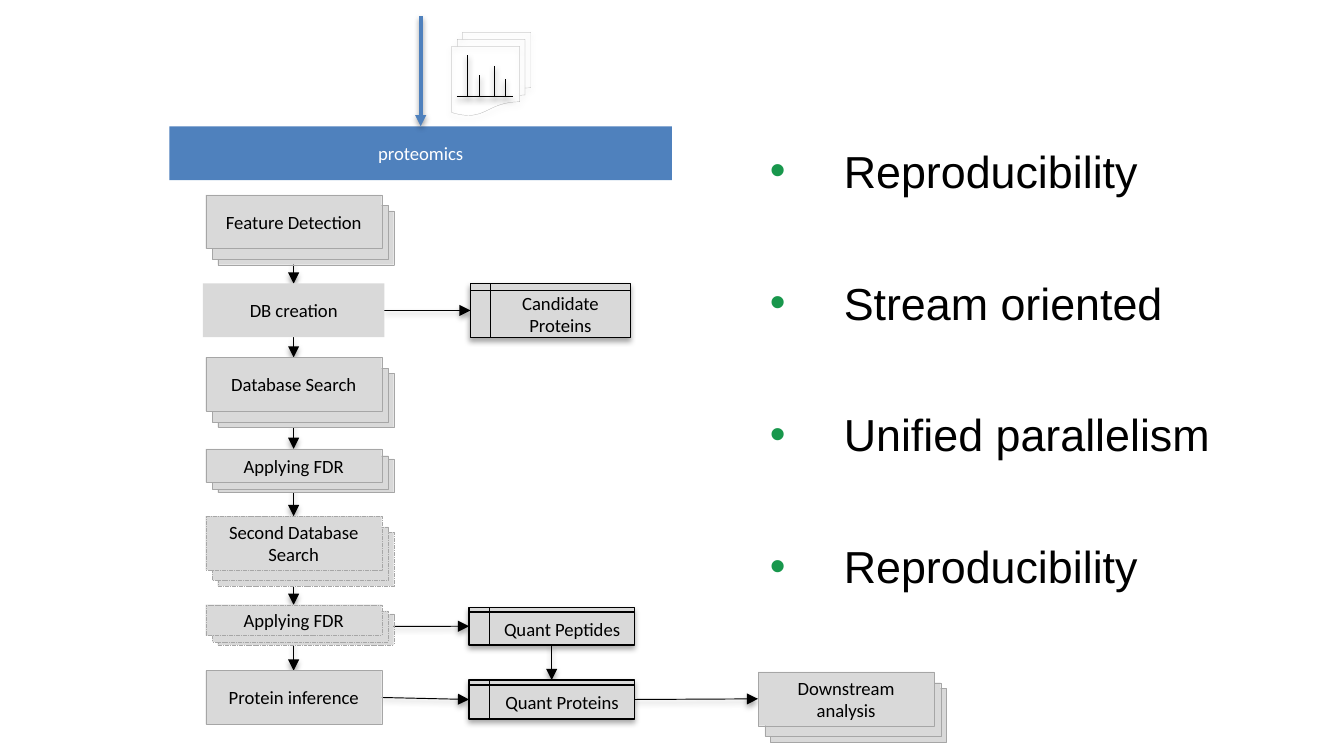
"""Build the proteomics workflow slide with its list of design goals."""
from dataclasses import dataclass
from typing import Optional

import pptx
import pptx.dml.color
import pptx.enum.dml
import pptx.enum.shapes
import pptx.enum.text
import pptx.oxml
import pptx.oxml.ns
import pptx.util
from pptx.util import Inches

RGBColor = pptx.dml.color.RGBColor
BLACK = RGBColor(0x00, 0x00, 0x00)
WHITE = RGBColor(0xFF, 0xFF, 0xFF)
BLUE = RGBColor(0x4F, 0x81, 0xBD)
LIGHT_GRAY = RGBColor(0xD9, 0xD9, 0xD9)
MID_GRAY = RGBColor(0xA6, 0xA6, 0xA6)
GREEN = RGBColor(0x18, 0x97, 0x4C)

SHAPES = pptx.enum.shapes.MSO_SHAPE
NAMESPACE = pptx.oxml.ns.nsdecls("a")
TOP, LEFT, BOTTOM, RIGHT = range(4)
STACK_SHIFTS = ((0.09, 0.3), (0.05, 0.2), (0, 0))


@dataclass(frozen=True)
class Step:
    key: str
    label: str
    left: float
    top: float
    width: float = 1.31
    height: float = 0.4
    fill: Optional[RGBColor] = LIGHT_GRAY
    line: Optional[RGBColor] = MID_GRAY
    line_width: float = 0.1
    dashed: bool = False
    stacked: bool = False
    kind: SHAPES = SHAPES.RECTANGLE


@dataclass(frozen=True)
class Link:
    source: str
    source_side: int
    target: str
    target_side: int
    sheet: int = -1


def store(key: str, label: str, left: float, top: float, width: float, height: float) -> Step:
    return Step(key, label, left, top, width, height, line=BLACK, line_width=0.75,
                kind=SHAPES.FLOWCHART_INTERNAL_STORAGE)


STEPS = (
    Step("banner", "proteomics", 1.26, 0.94, 3.74, fill=BLUE, line=None),
    Step("features", "Feature Detection", 1.53, 1.45, stacked=True),
    Step("creation", "DB creation", 1.51, 2.11, 1.35, line=None),
    Step("search", "Database Search", 1.53, 2.66, stacked=True),
    Step("fdr", "Applying FDR", 1.53, 3.34, height=0.25, stacked=True),
    Step("second search", "Second Database Search", 1.53, 3.84, dashed=True, stacked=True),
    Step("second fdr", "Applying FDR", 1.53, 4.5, height=0.23, dashed=True, stacked=True),
    Step("inference", "Protein inference", 1.53, 4.99),
    store("candidates", "Candidate Proteins", 3.5, 2.11, 1.19, 0.4),
    store("peptides", "Quant Peptides", 3.49, 4.52, 1.23, 0.28),
    store("proteins", "Quant Proteins", 3.49, 5.06, 1.23, 0.29),
    Step("downstream", "Downstream analysis", 5.64, 5, stacked=True),
)
PIPELINE = [step.key for step in STEPS[1:8]]
LINKS = [Link(source, BOTTOM, target, TOP) for source, target in zip(PIPELINE, PIPELINE[1:])] + [
    Link("creation", RIGHT, "candidates", LEFT),
    Link("second fdr", RIGHT, "peptides", LEFT, sheet=1),
    Link("inference", RIGHT, "proteins", LEFT),
    Link("peptides", BOTTOM, "proteins", TOP),
    Link("proteins", RIGHT, "downstream", LEFT),
]
PEAKS = ((3.48, 0.41), (3.57, 0.56), (3.68, 0.49), (3.76, 0.59))
PEAK_BASE = 0.72
GOALS = ("Reproducibility", "Stream oriented", "Unified parallelism", "Reproducibility")


def add_shadow(shape, opacity: int, distance: float) -> None:
    properties = shape.element.spPr
    for effects in properties.findall(pptx.oxml.ns.qn("a:effectLst")):
        properties.remove(effects)
    properties.append(pptx.oxml.parse_xml(
        f'<a:effectLst {NAMESPACE}><a:outerShdw blurRad="{pptx.util.Pt(3.1)}" '
        f'dist="{pptx.util.Pt(distance)}" dir="5400000" rotWithShape="0">'
        f'<a:srgbClr val="000000"><a:alpha val="{opacity * 1000}"/></a:srgbClr>'
        '</a:outerShdw></a:effectLst>'))


def add_line(shapes, start: tuple, end: tuple, color: RGBColor, width: float, arrow: bool = False):
    line = shapes.add_connector(pptx.enum.shapes.MSO_CONNECTOR.STRAIGHT,
                                *(Inches(value) for value in start + end))
    line.line.color.rgb = color
    line.line.width = pptx.util.Pt(width)
    if arrow:
        line.element.spPr.find(pptx.oxml.ns.qn("a:ln")).append(
            pptx.oxml.parse_xml(f'<a:tailEnd {NAMESPACE} type="triangle"/>'))
    add_shadow(line, 38, 1.6)
    return line


def add_sheet(shapes, step: Step, left: float, top: float):
    box = shapes.add_shape(step.kind, Inches(left), Inches(top),
                           Inches(step.width), Inches(step.height))
    box.shadow.inherit = False
    if step.fill is None:
        box.fill.background()
    else:
        box.fill.solid()
        box.fill.fore_color.rgb = step.fill
    if step.line is None:
        box.line.fill.background()
    else:
        box.line.color.rgb = step.line
        box.line.width = pptx.util.Pt(step.line_width)
    if step.dashed:
        box.line.dash_style = pptx.enum.dml.MSO_LINE.LONG_DASH
    return box


def add_step(page, step: Step) -> list:
    shapes = page.shapes.add_group_shape().shapes if step.stacked else page.shapes
    shifts = STACK_SHIFTS if step.stacked else STACK_SHIFTS[-1:]
    sheets = [add_sheet(shapes, step, step.left + across, step.top + down * step.height)
              for across, down in shifts]
    front = sheets[-1]
    front.text_frame.text = step.label
    front.text_frame.vertical_anchor = pptx.enum.text.MSO_ANCHOR.MIDDLE
    para = front.text_frame.paragraphs[0]
    para.alignment = pptx.enum.text.PP_ALIGN.CENTER
    font = para.runs[0].font
    font.name, font.size = "Calibri", pptx.util.Pt(10)
    font.color.rgb = WHITE if step.fill == BLUE else BLACK
    if step.kind == SHAPES.FLOWCHART_INTERNAL_STORAGE:
        add_shadow(front, 35, 1.8)
    return sheets


def add_link(page, link: Link, boxes: dict) -> None:
    line = add_line(page.shapes, (0, 0), (0, 0), BLACK, 0.5, arrow=True)
    line.begin_connect(boxes[link.source][link.sheet], link.source_side)
    line.end_connect(boxes[link.target][-1], link.target_side)
    line.element.getparent().insert(2, line.element)


def add_spectra(page) -> None:
    shapes = page.shapes.add_group_shape().shapes
    documents = Step("spectra", "", 3.36, 0.24, 0.59, 0.62, fill=None,
                     kind=SHAPES.FLOWCHART_MULTIDOCUMENT)
    add_shadow(add_sheet(shapes, documents, documents.left, documents.top), 35, 1.8)
    for left, top in PEAKS:
        add_line(shapes, (left, top), (left, PEAK_BASE), BLACK, 0.75)
    add_line(shapes, (3.4, PEAK_BASE), (3.82, PEAK_BASE), BLACK, 0.75)


def add_goals(page) -> None:
    box = page.shapes.add_textbox(Inches(5.63), Inches(0.62), Inches(3.93), Inches(4.04))
    box.text_frame.word_wrap = True
    box.text_frame.text = "\n".join(GOALS)
    for index, para in enumerate(box.text_frame.paragraphs):
        properties = para._p.get_or_add_pPr()
        properties.set("marL", str(Inches(0.55)))
        properties.set("indent", str(-Inches(0.55)))
        for bullet in (f'<a:buClr {NAMESPACE}><a:srgbClr val="{GREEN}"/></a:buClr>',
                       f'<a:buFont {NAMESPACE} typeface="Arial"/>',
                       f'<a:buChar {NAMESPACE} char="•"/>'):
            properties.append(pptx.oxml.parse_xml(bullet))
        para.line_spacing = 2.0
        para.space_before = pptx.util.Pt(4.8 if index else 0)
        para.space_after = pptx.util.Pt(8.2)
        font = para.runs[0].font
        font.name, font.size = "Arial", pptx.util.Pt(24)
        font.color.rgb = BLACK


def main() -> None:
    deck = pptx.Presentation()
    deck.slide_width = Inches(10)
    deck.slide_height = Inches(10 * 9 / 16)
    page = deck.slides.add_slide(deck.slide_layouts[6])
    add_goals(page)
    boxes = {step.key: add_step(page, step) for step in STEPS}
    for link in LINKS:
        add_link(page, link, boxes)
    inflow = add_line(page.shapes, (3.13, 0.12), (3.13, 0.94), BLUE, 2, arrow=True)
    inflow.end_connect(boxes["banner"][-1], TOP)
    add_spectra(page)
    deck.save("out.pptx")


if __name__ == "__main__":
    main()
